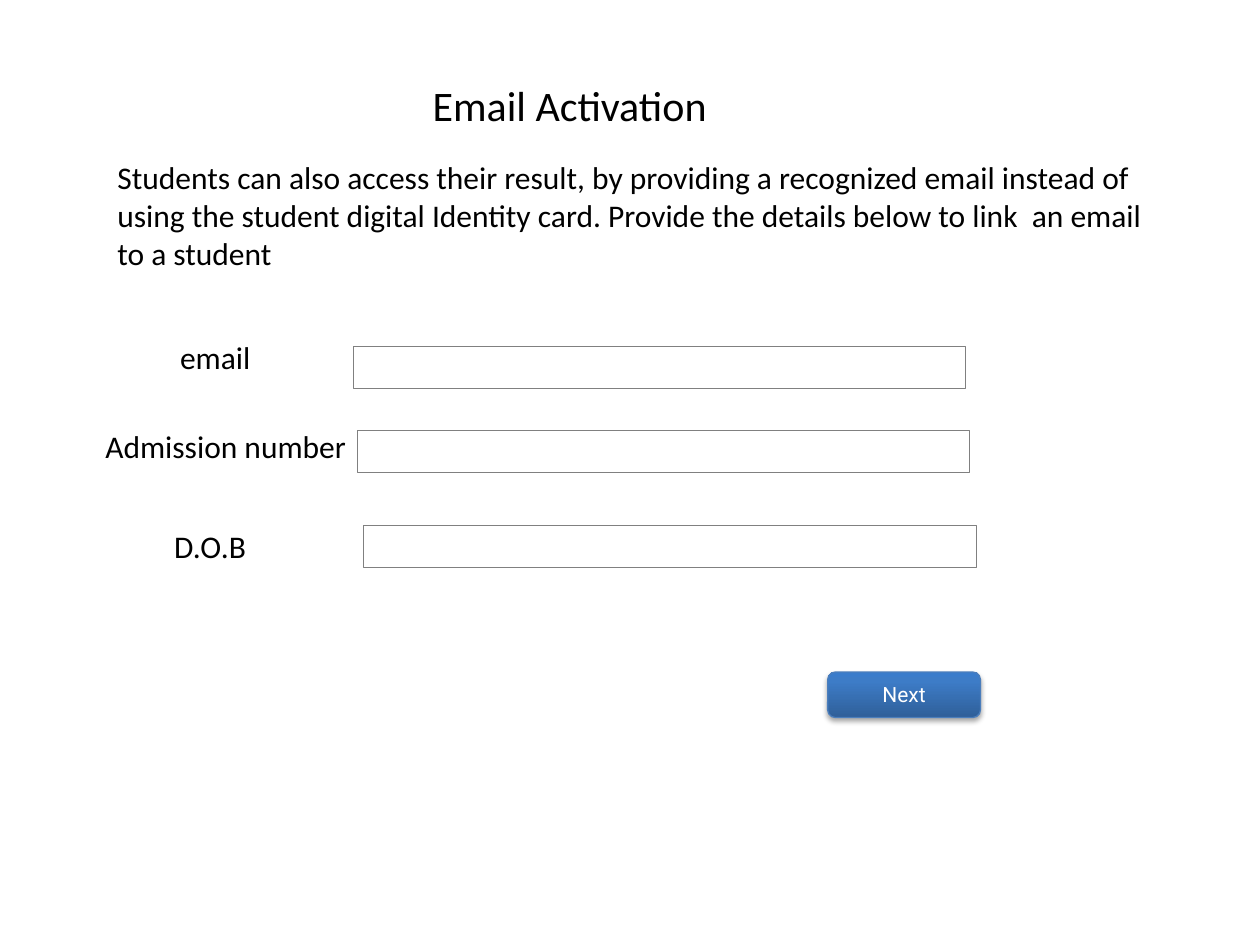
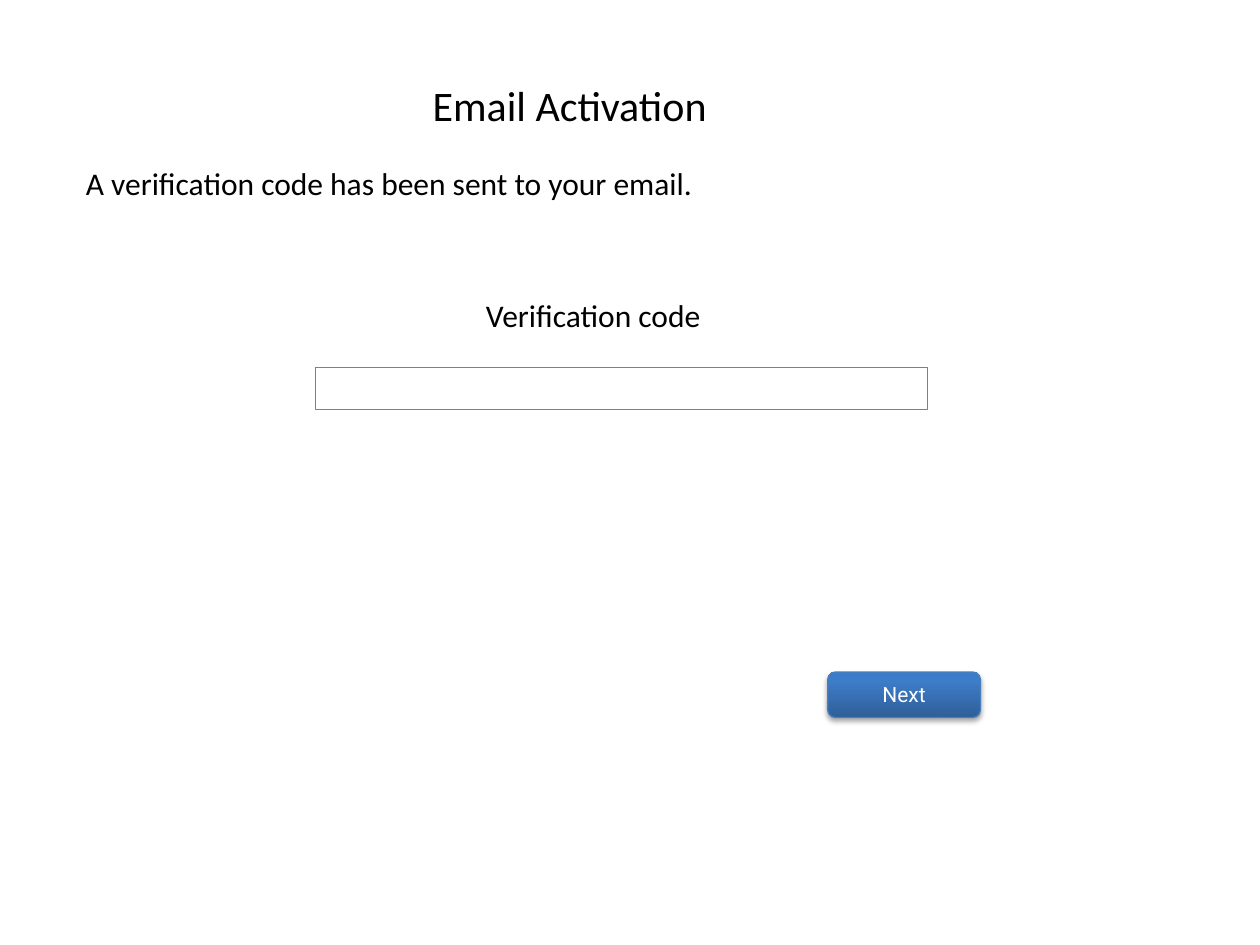
"""Builds the two email activation form slides."""
from copy import deepcopy
from dataclasses import dataclass

from lxml.etree import SubElement
from pptx import Presentation
from pptx.dml.color import RGBColor
from pptx.enum.shapes import MSO_SHAPE
from pptx.enum.text import MSO_ANCHOR, MSO_AUTO_SIZE, PP_ALIGN
from pptx.oxml.ns import qn
from pptx.util import Pt


@dataclass(frozen=True)
class Theme:
    ink: str = "000000"
    paper: str = "FFFFFF"
    field_line: str = "808080"
    button_line: str = "4B7EBC"
    button_stops: tuple = ((0, "2F5F99"), (0.8, "3D7CC7"), (1, "3A7CCB"))
    font: str = "Calibri"
    button_font: str = "Roboto"
    title_size: int = 24
    body_size: int = 18
    button_size: int = 12


THEME = Theme()
TITLE = "Email Activation"
TITLE_BOX = (240, 42, 228, 36)
BUTTON = "Next"
BUTTON_BOX = (473, 384, 87.3, 26)
FIELD_SIZE = (350, 24)

SCREENS = [
    {
        "intro": "Students can also access their result, by providing a recognized email "
                 "instead of using the student digital Identity card. Provide the details "
                 "below to link  an email to a student",
        "intro_box": (60, 87, 606, 72.7),
        "entries": [
            ("email", (60, 186, 126, 36), (201.6, 198)),
            ("Admission number", (36, 240, 186, 30), (204, 246)),
            ("D.O.B", (60, 300, 120, 24), (207.6, 300)),
        ],
    },
    {
        "intro": "A verification code has been sent to your email.",
        "intro_box": (42, 90, 600, 29),
        "entries": [("Verification code", (246, 162, 186, 36), (180, 210))],
    },
]


def rgb(color):
    return RGBColor.from_string(color)


def write(shape, text, size, color=THEME.ink, font=THEME.font,
          align=PP_ALIGN.LEFT, anchor=MSO_ANCHOR.TOP):
    frame = shape.text_frame
    frame.text = text
    frame.word_wrap = True
    frame.auto_size = MSO_AUTO_SIZE.NONE
    frame.vertical_anchor = anchor
    paragraph = frame.paragraphs[0]
    paragraph.alignment = align
    for run in paragraph.runs:
        run.font.size = Pt(size)
        run.font.name = font
        run.font.color.rgb = rgb(color)


def write_centred(shape, text, size, **style):
    write(shape, text, size, align=PP_ALIGN.CENTER, anchor=MSO_ANCHOR.MIDDLE, **style)


def add_box(slide, box, line=None, width=0.25, kind=MSO_SHAPE.RECTANGLE):
    shape = slide.shapes.add_shape(kind, *map(Pt, box))
    shape.shadow.inherit = False
    shape.fill.solid()
    shape.fill.fore_color.rgb = rgb(THEME.paper)
    if line:
        shape.line.color.rgb = rgb(line)
        shape.line.width = Pt(width)
    else:
        shape.line.fill.background()
    return shape


def add_title(slide):
    title = slide.shapes.title
    title.left, title.top, title.width, title.height = map(Pt, TITLE_BOX)
    write(title, TITLE, THEME.title_size)


def add_entry(slide, label, label_box, field_corner):
    write_centred(add_box(slide, label_box), label, THEME.body_size)
    add_box(slide, field_corner + FIELD_SIZE, THEME.field_line)


def add_button(slide):
    button = add_box(slide, BUTTON_BOX, THEME.button_line, 0.75, MSO_SHAPE.ROUNDED_RECTANGLE)
    button.fill.gradient()
    button.fill.gradient_angle = 90
    properties = button.element.spPr
    stops = properties.find(qn("a:gradFill")).find(qn("a:gsLst"))
    stops.append(deepcopy(stops[-1]))
    for stop, (position, color) in zip(button.fill.gradient_stops, THEME.button_stops):
        stop.position = position
        stop.color.rgb = rgb(color)

    shadow = SubElement(properties.find(qn("a:effectLst")), qn("a:outerShdw"),
                        blurRad=str(Pt(3.1)), dist=str(Pt(1.8)), dir="5400000", rotWithShape="0")
    shade = SubElement(shadow, qn("a:srgbClr"), val=THEME.ink)
    SubElement(shade, qn("a:alpha"), val="35000")

    write_centred(button, BUTTON, THEME.button_size, color=THEME.paper, font=THEME.button_font)
    button.text_frame.margin_top = 0
    button.text_frame.margin_bottom = Pt(0.7)


def main():
    deck = Presentation()
    deck.slide_width, deck.slide_height = Pt(720), Pt(540)
    title_only = deck.slide_layouts[5]
    for screen in SCREENS:
        slide = deck.slides.add_slide(title_only)
        add_title(slide)
        intro = slide.shapes.add_textbox(*map(Pt, screen["intro_box"]))
        write(intro, screen["intro"], THEME.body_size)
        for entry in screen["entries"]:
            add_entry(slide, *entry)
        add_button(slide)
    deck.save("out.pptx")


if __name__ == "__main__":
    main()
